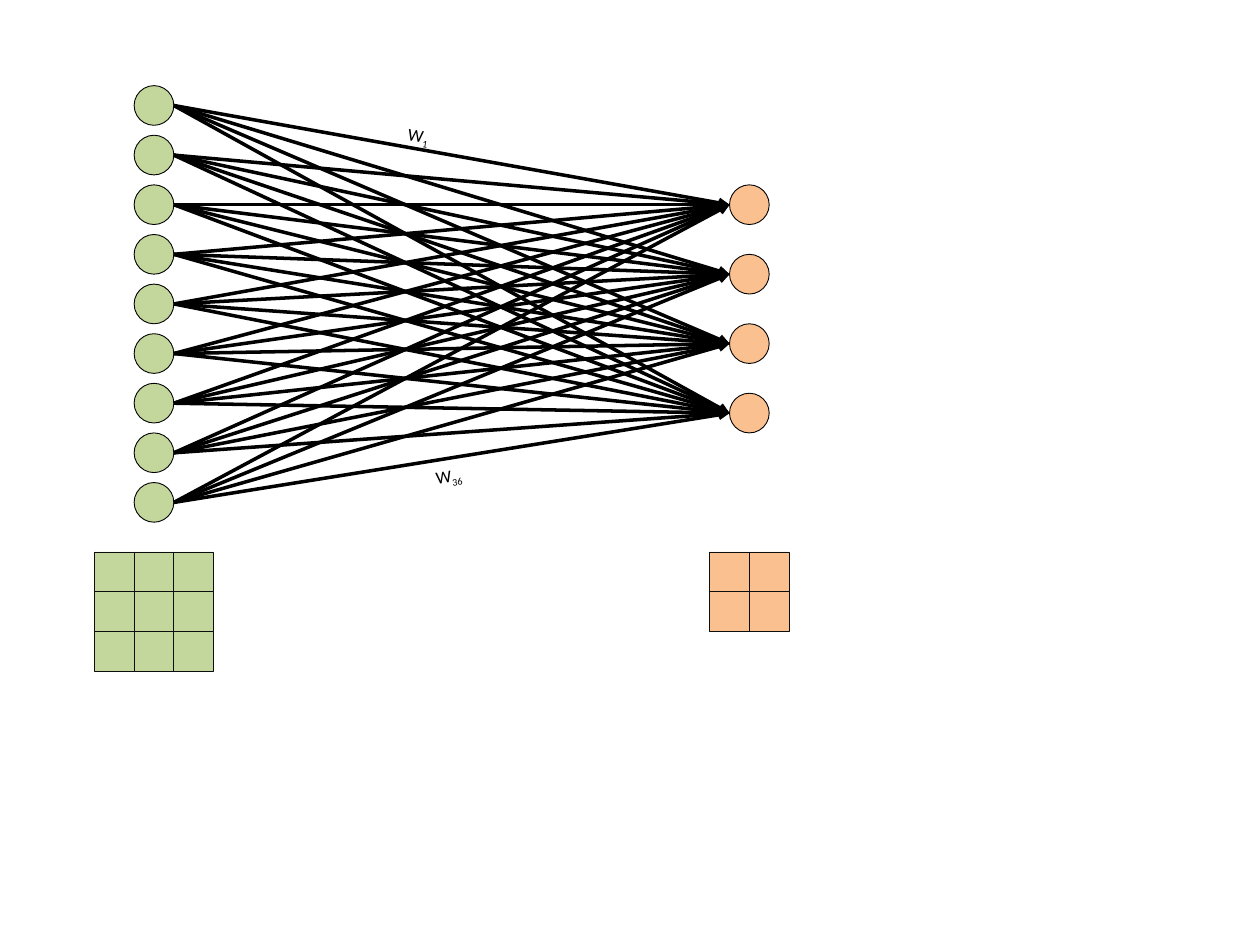
"""Draw a fully connected layer from a 3 by 3 input to a 2 by 2 output."""
from dataclasses import dataclass
from itertools import product

from lxml import etree
from pptx import Presentation
from pptx import util as u
from pptx.dml.color import RGBColor
from pptx.enum import shapes, text
from pptx.oxml.ns import qn

GREEN = RGBColor(0xC3, 0xD6, 0x9B)
ORANGE = RGBColor(0xFA, 0xC0, 0x90)
BLACK = RGBColor(0, 0, 0)
CHARCOAL = RGBColor(0x0D, 0x0D, 0x0D)

CELL = u.Pt(22.68)
LEFT, TOP = u.Inches(0.75), u.Inches(0.68)
MATRIX_ROW = 11.75


@dataclass(frozen=True)
class Layer:
    """A column of neurons and the square matrix below it, in grid units."""
    color: RGBColor
    side: int
    column: float
    row: float
    step: float
    matrix_column: float

    def neuron_rows(self) -> list[float]:
        """Return the top row of every neuron."""
        return [self.row + index * self.step for index in range(self.side ** 2)]


@dataclass(frozen=True)
class WeightLabel:
    """A tilted weight name with its subscript, in grid units."""
    index: str
    column: float
    row: float
    angle: float


INPUTS = Layer(GREEN, 3, 1, 0, 1.25, 0)
OUTPUTS = Layer(ORANGE, 2, 16, 2.5, 1.75, 15.5)
LABELS = (WeightLabel("1", 6.54, 0.83, 8.9), WeightLabel("36", 7.3, 9.4, -8.8))


def x_at(column: float) -> int:
    """Return the horizontal position of a grid column."""
    return round(LEFT + column * CELL)


def y_at(row: float) -> int:
    """Return the vertical position of a grid row."""
    return round(TOP + row * CELL)


def draw_unit(page, kind, column: float, row: float, fill: RGBColor, edge: RGBColor) -> None:
    """Draw one outlined shape that fills a grid cell."""
    shape = page.shapes.add_shape(kind, x_at(column), y_at(row), CELL, CELL)
    shape.shadow.inherit = False
    shape.fill.solid()
    shape.fill.fore_color.rgb = fill
    shape.line.color.rgb = edge
    shape.line.width = u.Pt(0.5)


def draw_layer(page, layer: Layer) -> None:
    """Draw the neurons of a layer and its matrix."""
    for row in layer.neuron_rows():
        draw_unit(page, shapes.MSO_SHAPE.OVAL, layer.column, row, layer.color, BLACK)
    for row, column in product(range(layer.side), repeat=2):
        draw_unit(page, shapes.MSO_SHAPE.RECTANGLE, layer.matrix_column + column,
                  MATRIX_ROW + row, layer.color, CHARCOAL)


def draw_weight(page, start_row: float, end_row: float) -> None:
    """Draw an arrow from an input neuron to an output neuron."""
    arrow = page.shapes.add_connector(
        shapes.MSO_CONNECTOR.STRAIGHT,
        x_at(INPUTS.column + 1), y_at(start_row + 0.5),
        x_at(OUTPUTS.column), y_at(end_row + 0.5))
    arrow.line.color.rgb = BLACK
    arrow.line.width = u.Pt(2)
    etree.SubElement(arrow.line._get_or_add_ln(), qn("a:tailEnd"), type="triangle")
    etree.SubElement(arrow._element.spPr, qn("a:effectLst"))


def draw_label(page, label: WeightLabel) -> None:
    """Write a weight name along its arrow."""
    box = page.shapes.add_textbox(x_at(label.column), y_at(label.row),
                                  u.Inches(1.02), u.Inches(0.27))
    box.rotation = label.angle
    frame = box.text_frame
    frame.word_wrap = True
    frame.auto_size = text.MSO_AUTO_SIZE.SHAPE_TO_FIT_TEXT
    para = frame.paragraphs[0]
    para.alignment = text.PP_ALIGN.CENTER
    for wording in ("W", label.index):
        span = para.add_run()
        span.text = wording
        span.font.name = "Calibri"
        span.font.size = u.Pt(10)
        span.font.color.rgb = BLACK
    span._r.get_or_add_rPr().set("baseline", "-25000")


def main() -> None:
    """Build and save the deck."""
    deck = Presentation()
    deck.slide_width, deck.slide_height = u.Inches(10), u.Inches(7.5)
    page = deck.slides.add_slide(deck.slide_layouts[6])
    for layer in (INPUTS, OUTPUTS):
        draw_layer(page, layer)
    for start_row, end_row in product(INPUTS.neuron_rows(), OUTPUTS.neuron_rows()):
        draw_weight(page, start_row, end_row)
    for label in LABELS:
        draw_label(page, label)
    deck.save("out.pptx")


if __name__ == "__main__":
    main()
